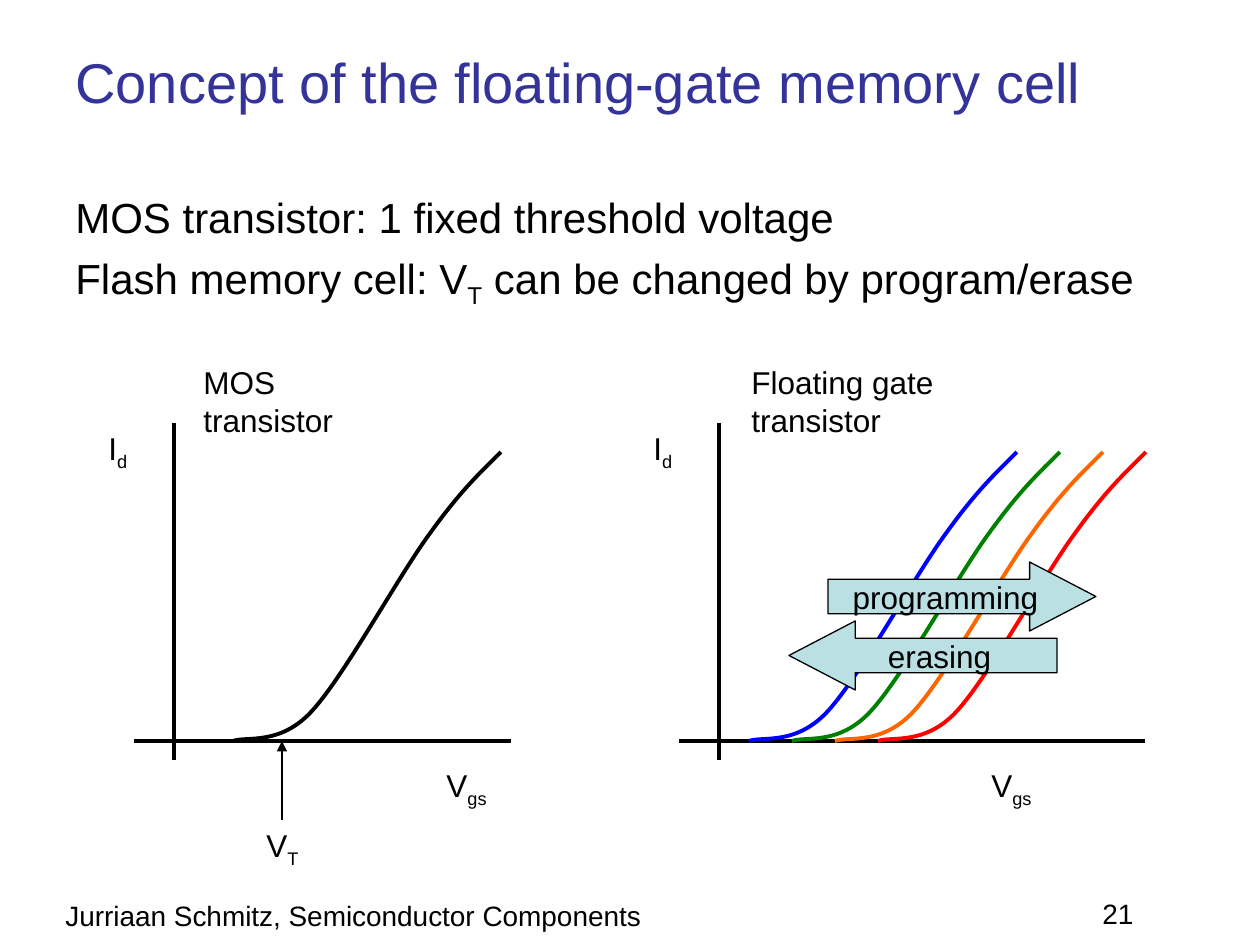
from lxml import etree
from pptx import Presentation
from pptx.dml.color import RGBColor
from pptx.enum.shapes import MSO_CONNECTOR, MSO_SHAPE
from pptx.enum.text import MSO_ANCHOR, PP_ALIGN
from pptx.oxml.ns import qn
from pptx.util import Emu, Pt

STRAIGHT = MSO_CONNECTOR.STRAIGHT
RIGHT, LEFT = MSO_SHAPE.RIGHT_ARROW, MSO_SHAPE.LEFT_ARROW
TOP, MIDDLE = MSO_ANCHOR.TOP, MSO_ANCHOR.MIDDLE
CENTER = PP_ALIGN.CENTER

SCALE = 914400 // 126
COLORS = {"black": "000000", "title": "333399", "arrow": "BBE0E3",
          "blue": "0000FF", "green": "008000", "orange": "FF6600", "red": "FF0000"}
# Offsets from the curve's start: groups of two control points and an end point
CURVE = [(13, -5), (47, 5), (79, -30), (112, -66), (166, -166), (198, -209),
         (229, -252), (249, -270), (268, -289)]


def px(n):
    """Turn pixels into EMU."""
    return Emu(n * SCALE)


def rgb(name):
    """Look up a colour by name."""
    return RGBColor.from_string(COLORS[name])


def write(tf, text, size=18, color="black", align=None, anchor=TOP,
          wrap=False, before=0, hanging=0):
    """Fill a text frame; "|" switches between normal and subscript text."""
    tf.word_wrap = wrap
    tf.vertical_anchor = anchor
    for i, line in enumerate(text.split("\n")):
        p = tf.add_paragraph() if i else tf.paragraphs[0]
        p.alignment = align
        p.space_before = Pt(before)
        if hanging:
            pPr = p._p.get_or_add_pPr()
            pPr.set("marL", str(px(hanging)))
            pPr.set("indent", str(-px(hanging)))
        for j, part in enumerate(line.split("|")):
            r = p.add_run()
            r.text = part
            r.font.name = "Arial"
            r.font.size = Pt(size)
            r.font.color.rgb = rgb(color)
            if j % 2:
                r.font._element.set("baseline", "-25000")


class Canvas:
    """Draws styled elements on one slide."""

    thick, thin = 2.24, 0.74

    def __init__(self, slide):
        self.s = slide

    def stroke(self, sp, color, width):
        """Set the line of a shape or connector."""
        sp.line.color.rgb = rgb(color)
        sp.line.width = Pt(width)

    def text(self, x, y, w, h, text, **style):
        """Add a text box."""
        sp = self.s.shapes.add_textbox(px(x), px(y), px(w), px(h))
        write(sp.text_frame, text, **style)

    def line(self, x1, y1, x2, y2, width=thick, head=False):
        """Add a straight line, with an arrowhead at its end if asked."""
        sp = self.s.shapes.add_connector(STRAIGHT, px(x1), px(y1), px(x2), px(y2))
        self.stroke(sp, "black", width)
        if head:
            etree.SubElement(sp.line._get_or_add_ln(), qn("a:tailEnd"), type="triangle")
        etree.SubElement(sp._element.spPr, qn("a:effectLst"))

    def curve(self, x, y, color):
        """Add a transistor curve that starts at x, y."""
        fb = self.s.shapes.build_freeform(px(x), px(y))
        fb.add_line_segments([(px(x + dx), px(y + dy)) for dx, dy in CURVE], close=False)
        sp = fb.convert_to_shape()
        sp.shadow.inherit = False
        sp.fill.background()
        self.stroke(sp, color, self.thick)
        outline = next(sp._element.iter(qn("a:path")))
        segments = outline.findall(qn("a:lnTo"))
        for i in range(0, len(segments), 3):
            bezier = etree.SubElement(outline, qn("a:cubicBezTo"))
            for segment in segments[i:i + 3]:
                bezier.append(segment[0])
                outline.remove(segment)

    def block_arrow(self, kind, x, y, label):
        """Add a labelled block arrow."""
        sp = self.s.shapes.add_shape(kind, px(x), px(y), px(268), px(69))
        sp.adjustments[0], sp.adjustments[1] = 0.5, 0.96
        sp.shadow.inherit = False
        sp.fill.solid()
        sp.fill.fore_color.rgb = rgb("arrow")
        self.stroke(sp, "black", self.thin)
        write(sp.text_frame, label, align=CENTER, anchor=MIDDLE)

    def axes(self, x, right):
        """Add the two axes and their labels, with the origin at x."""
        self.line(x, 423, x, 760)
        self.line(x - 40, 741, right, 741)
        self.text(x - 78, 423, 44, 55, "I|d")
        self.text(x + 260, 760, 66, 55, "V|gs")


prs = Presentation()
prs.slide_width, prs.slide_height = px(1260), px(945)
c = Canvas(prs.slides.add_slide(prs.slide_layouts[6]))

c.text(53, 892, 601, 47, "Jurriaan Schmitz, Semiconductor Components", size=16)
c.text(1090, 890, 152, 47, "21", size=16)
c.text(63, 38, 1134, 87, "Concept of the floating-gate memory cell",
       size=32, color="title", anchor=MIDDLE, wrap=True)
c.text(63, 185, 1134, 659,
       "MOS transistor: 1 fixed threshold voltage\n"
       "Flash memory cell: V|T| can be changed by program/erase",
       size=24, wrap=True, before=6, hanging=48)

c.text(191, 357, 234, 50, "MOS transistor")
c.axes(174, 511)
c.curve(233, 741, "black")
c.line(282, 820, 282, 741, width=c.thin, head=True)
c.text(254, 820, 57, 55, "V|T")

c.text(739, 357, 345, 50, "Floating gate transistor")
c.axes(719, 1145)
for i, color in enumerate(["blue", "green", "orange", "red"]):
    c.curve(749 + 43 * i, 741, color)
c.block_arrow(RIGHT, 828, 562, "programming")
c.block_arrow(LEFT, 789, 621, "erasing")

prs.save("out.pptx")
